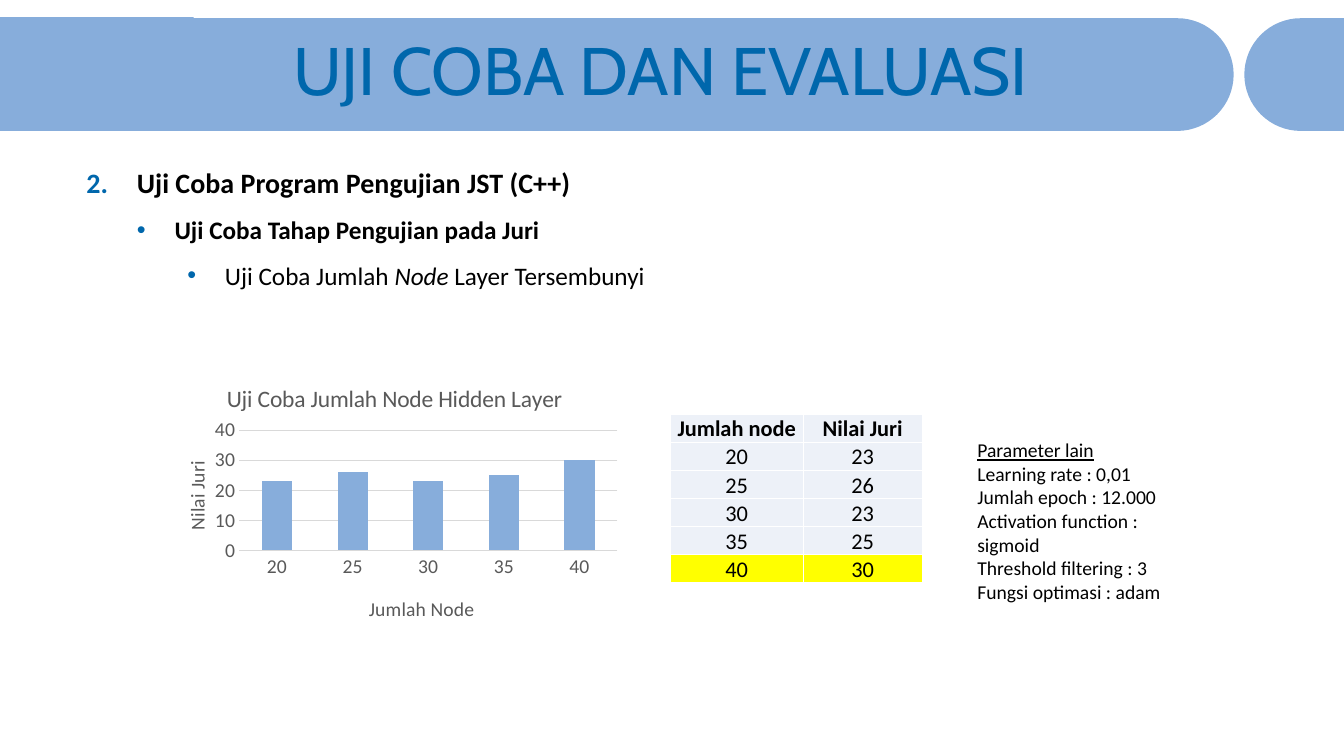
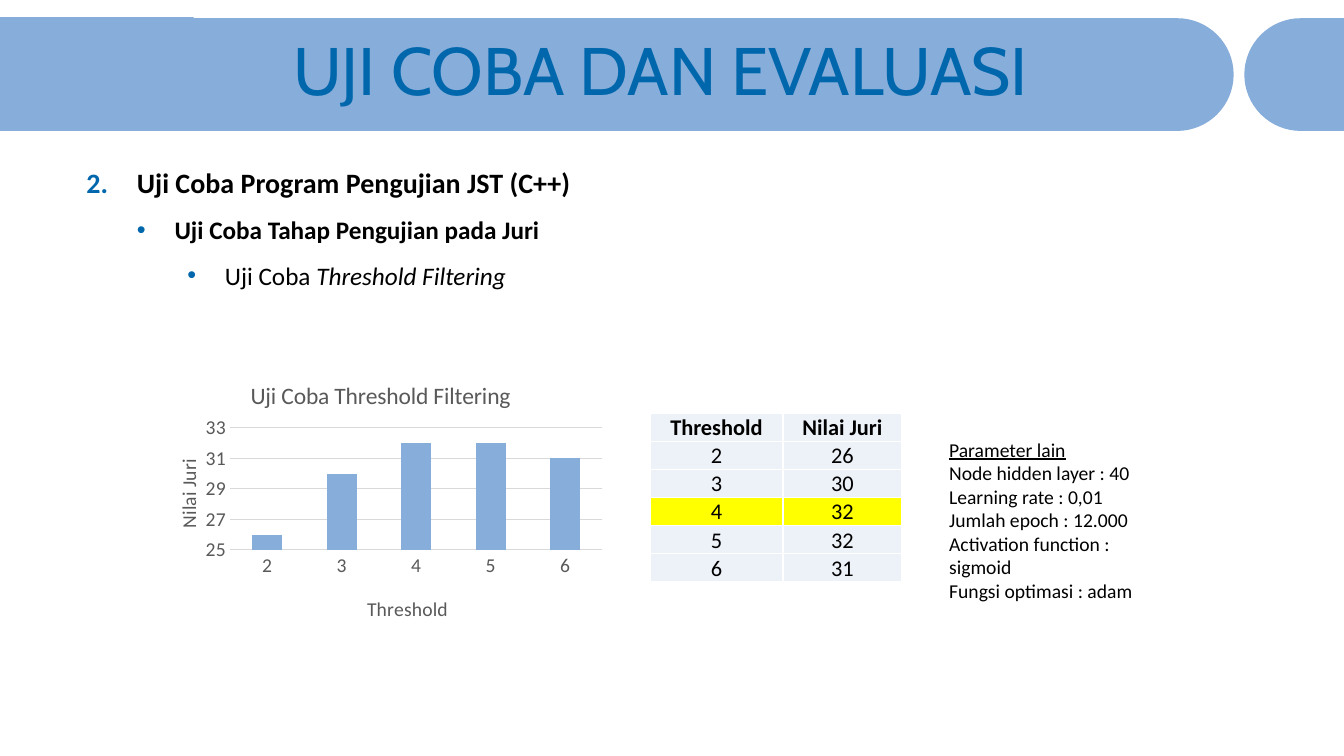
from dataclasses import dataclass
from math import cos, pi, sin

from lxml.etree import SubElement
from pptx import Presentation
from pptx.chart.data import CategoryChartData
from pptx.dml.color import RGBColor
from pptx.enum.chart import XL_CHART_TYPE, XL_TICK_MARK
from pptx.enum.shapes import MSO_SHAPE
from pptx.enum.text import MSO_ANCHOR, MSO_AUTO_SIZE, PP_ALIGN
from pptx.oxml import parse_xml
from pptx.oxml.ns import nsdecls, qn
from pptx.util import Cm, Pt


@dataclass(frozen=True)
class Theme:
    band: str = "87ADDB"
    accent: str = "0067AC"
    ink: str = "000000"
    chart_ink: str = "595959"
    grid: str = "D9D9D9"
    cell: str = "EDF1F8"
    highlight: str = "FFFF00"
    border: str = "FFFFFF"
    title_font: str = "Cabin"
    body_font: str = "Calibri"
    title_size: float = 48
    heading_size: float = 20
    topic_size: float = 18
    table_size: float = 16
    chart_title_size: float = 16.8
    small_size: float = 14


THEME = Theme()

# Content
TITLE = "UJI COBA DAN EVALUASI"
HEADING = "Uji Coba Program Pengujian JST (C++)"
STAGE = "Uji Coba Tahap Pengujian pada Juri"
SCORE = "Nilai Juri"
PARAMETERS = "Parameter lain"

# Positions are in cm; the label spots are shares of the chart's size
TRIALS = [
    {
        "topic": [("Uji Coba Jumlah ", False), ("Node ", True), ("Layer Tersembunyi", False)],
        "chart_title": "Uji Coba Jumlah Node Hidden Layer",
        "axis_title": "Jumlah Node",
        "column": "Jumlah node",
        "scores": {"20": 23, "25": 26, "30": 23, "35": 25, "40": 30},
        "scale": (0, 40, 10),
        "best": "40",
        "parameters": ["Learning rate : 0,01", "Jumlah epoch : 12.000",
                       "Activation function : sigmoid", "Threshold filtering : 3",
                       "Fungsi optimasi : adam"],
        "chart_box": (3.81, 9.12, 11.99, 6.88),
        "label_x": (0.15, 0.45),
        "table_at": (16.89, 10.44),
        "parameters_at": (24.38, 10.92),
    },
    {
        "topic": [("Uji Coba ", False), ("Threshold Filtering", True)],
        "chart_title": "Uji Coba Threshold Filtering",
        "axis_title": "Threshold",
        "column": "Threshold",
        "scores": {"2": 26, "3": 30, "4": 32, "5": 32, "6": 31},
        "scale": (25, 33, 2),
        "best": "4",
        "parameters": ["Node hidden layer : 40", "Learning rate : 0,01",
                       "Jumlah epoch : 12.000", "Activation function : sigmoid",
                       "Fungsi optimasi : adam"],
        "chart_box": (3.61, 9.04, 11.81, 6.98),
        "label_x": (0.22, 0.47),
        "table_at": (16.38, 10.41),
        "parameters_at": (23.67, 10.9),
    },
]

# Layout, in cm
SLIDE_WIDTH, SLIDE_HEIGHT = 33.87, 19.05
BAND_TOP, BAND_HEIGHT = 0.46, 2.84
BAND_END, CAP_START = 31.09, 31.36
COLUMN_WIDTHS = (3.35, 3.0)
ROW_HEIGHT = 0.7


def rgb(color):
    return RGBColor.from_string(color)


def write(paragraph, text, size=THEME.small_size, color=THEME.ink,
          font=THEME.body_font, bold=False, italic=False, underline=False):
    run = paragraph.add_run()
    run.text = text
    run.font.size, run.font.name = Pt(size), font
    run.font.bold, run.font.italic, run.font.underline = bold, italic, underline
    run.font.color.rgb = rgb(color)


def text_area(slide, left, top, width, height):
    frame = slide.shapes.add_textbox(Cm(left), Cm(top), Cm(width), Cm(height)).text_frame
    frame.word_wrap = True
    return frame


def next_paragraph(frame):
    first = frame.paragraphs[0]
    return frame.add_paragraph() if first.runs else first


def paint(shape):
    shape.shadow.inherit = False
    shape.fill.solid()
    shape.fill.fore_color.rgb = rgb(THEME.band)
    shape.line.fill.background()


# Title band
def add_rounded_band(slide, flat_x, round_x):
    """Draw a bar with a square end at flat_x and a half circle at round_x."""
    radius, steps = BAND_HEIGHT / 2, 32
    direction = 1 if round_x > flat_x else -1
    center_x, center_y = round_x - direction * radius, BAND_TOP + radius
    angles = [pi * step / steps - pi / 2 for step in range(steps + 1)]
    arc = [(Cm(center_x + direction * radius * cos(a)), Cm(center_y + radius * sin(a)))
           for a in angles]
    outline = slide.shapes.build_freeform(Cm(flat_x), Cm(BAND_TOP))
    outline.add_line_segments(arc + [(Cm(flat_x), Cm(BAND_TOP + BAND_HEIGHT))], close=True)
    paint(outline.convert_to_shape())


def add_header(slide):
    add_rounded_band(slide, 0, BAND_END)
    add_rounded_band(slide, SLIDE_WIDTH, CAP_START)
    paint(slide.shapes.add_shape(MSO_SHAPE.RECTANGLE, 0, Cm(0.43), Cm(4.88), Cm(BAND_HEIGHT)))
    frame = text_area(slide, 7.14, 0.86, 26.7, 2)
    frame.vertical_anchor = MSO_ANCHOR.MIDDLE
    frame.paragraphs[0].line_spacing = 0.9
    write(frame.paragraphs[0], TITLE, size=THEME.title_size,
          color=THEME.accent, font=THEME.title_font)


# Outline
def add_marker(paragraph, level, indent, hanging, number=None):
    paragraph.level = level
    paragraph.line_spacing = 1.5
    props = paragraph._p.get_or_add_pPr()
    props.set("marL", str(Cm(indent)))
    props.set("indent", str(-Cm(hanging)))
    SubElement(SubElement(props, qn("a:buClr")), qn("a:srgbClr"), val=THEME.accent)
    if number:
        SubElement(props, qn("a:buFont"), typeface="+mj-lt")
        SubElement(props, qn("a:buAutoNum"), type="arabicPeriod", startAt=str(number))
    else:
        SubElement(props, qn("a:buFont"), typeface="Arial")
        SubElement(props, qn("a:buChar"), char="•")


def add_outline(slide, topic):
    frame = text_area(slide, 1.93, 3.63, 29.95, 3.84)
    frame.auto_size = MSO_AUTO_SIZE.SHAPE_TO_FIT_TEXT
    heading = next_paragraph(frame)
    add_marker(heading, 0, 1.27, 1.27, number=2)
    write(heading, HEADING, size=THEME.heading_size, bold=True)
    stage = next_paragraph(frame)
    add_marker(stage, 1, 2.22, 0.95)
    write(stage, STAGE, size=THEME.topic_size, bold=True)
    subject = next_paragraph(frame)
    add_marker(subject, 2, 3.49, 0.95)
    for text, italic in topic:
        write(subject, text, size=THEME.topic_size, italic=italic)


def add_parameters(slide, left, top, parameters):
    frame = text_area(slide, left, top, 6, 3.84)
    frame.auto_size = MSO_AUTO_SIZE.SHAPE_TO_FIT_TEXT
    write(next_paragraph(frame), PARAMETERS, underline=True)
    for parameter in parameters:
        write(next_paragraph(frame), parameter)


# Chart
def set_layout(element, position, x, y, size=None):
    for old in element.findall(qn("c:layout")):
        element.remove(old)
    values = {"xMode": "edge", "yMode": "edge", "x": x, "y": y}
    if size:
        values = {"layoutTarget": "inner", **values, "w": size[0], "h": size[1]}
    items = "".join(f'<c:{name} val="{value}"/>' for name, value in values.items())
    element.insert(position, parse_xml(
        f'<c:layout {nsdecls("c")}><c:manualLayout>{items}</c:manualLayout></c:layout>'))


def label(title, text, x, y, size=THEME.small_size):
    write(title.text_frame.paragraphs[0], text, size=size, color=THEME.chart_ink)
    set_layout(title._element, 1, x, y)


def add_score_chart(slide, trial):
    data = CategoryChartData()
    data.categories = list(trial["scores"])
    data.add_series("Series 1", list(trial["scores"].values()))
    chart = slide.shapes.add_chart(XL_CHART_TYPE.COLUMN_CLUSTERED,
                                   *map(Cm, trial["chart_box"]), data).chart
    chart.has_legend = False
    chart.font.name, chart.font.size = THEME.body_font, Pt(THEME.small_size)
    chart.font.color.rgb = rgb(THEME.chart_ink)

    plot = chart.plots[0]
    plot.vary_by_categories, plot.gap_width = False, 150
    bars = plot.series[0].format.fill
    bars.solid()
    bars.fore_color.rgb = rgb(THEME.band)
    set_layout(chart._chartSpace.chart.plotArea, 0, 0.185, 0.25, size=(0.795, 0.44))

    inputs, scores = chart.category_axis, chart.value_axis
    for axis in (inputs, scores):
        axis.major_tick_mark = axis.minor_tick_mark = XL_TICK_MARK.NONE
    scores.minimum_scale, scores.maximum_scale, scores.major_unit = trial["scale"]
    scores.format.line.fill.background()
    for line in (inputs.format.line, scores.major_gridlines.format.line):
        line.color.rgb, line.width = rgb(THEME.grid), Pt(0.75)

    title_x, inputs_x = trial["label_x"]
    chart.has_title = True
    label(chart.chart_title, trial["chart_title"], title_x, 0.06, THEME.chart_title_size)
    label(inputs.axis_title, trial["axis_title"], inputs_x, 0.84)
    label(scores.axis_title, SCORE, 0.06, 0.35)
    turned = scores.axis_title.text_frame._txBody.bodyPr
    turned.set("rot", "-5400000")
    turned.set("vert", "horz")


# Table
def fill_cell(cell, text, color, bold):
    cell.margin_left = cell.margin_right = cell.margin_top = Cm(0.03)
    cell.margin_bottom = 0
    cell.vertical_anchor = MSO_ANCHOR.BOTTOM
    paragraph = cell.text_frame.paragraphs[0]
    paragraph.alignment = PP_ALIGN.CENTER
    write(paragraph, text, size=THEME.table_size, bold=bold)
    props = cell._tc.get_or_add_tcPr()
    for side in ("lnL", "lnR", "lnT", "lnB"):
        border = SubElement(props, qn(f"a:{side}"), w=str(Pt(1)))
        SubElement(SubElement(border, qn("a:solidFill")), qn("a:srgbClr"), val=THEME.border)
    cell.fill.solid()
    cell.fill.fore_color.rgb = rgb(color)


def add_score_table(slide, trial):
    rows = [(trial["column"], SCORE), *trial["scores"].items()]
    left, top = trial["table_at"]
    table = slide.shapes.add_table(len(rows), len(COLUMN_WIDTHS), Cm(left), Cm(top),
                                   Cm(sum(COLUMN_WIDTHS)), Cm(ROW_HEIGHT * len(rows))).table
    table.horz_banding = False
    for column, width in zip(table.columns, COLUMN_WIDTHS):
        column.width = Cm(width)
    for index, (row, values) in enumerate(zip(table.rows, rows)):
        row.height = Cm(ROW_HEIGHT)
        color = THEME.highlight if values[0] == trial["best"] else THEME.cell
        for cell, value in zip(row.cells, values):
            fill_cell(cell, str(value), color, bold=index == 0)


def main():
    deck = Presentation()
    deck.slide_width, deck.slide_height = Cm(SLIDE_WIDTH), Cm(SLIDE_HEIGHT)
    for trial in TRIALS:
        slide = deck.slides.add_slide(deck.slide_layouts[6])
        add_header(slide)
        add_outline(slide, trial["topic"])
        add_parameters(slide, *trial["parameters_at"], trial["parameters"])
        add_score_chart(slide, trial)
        add_score_table(slide, trial)
    deck.save("out.pptx")


if __name__ == "__main__":
    main()
